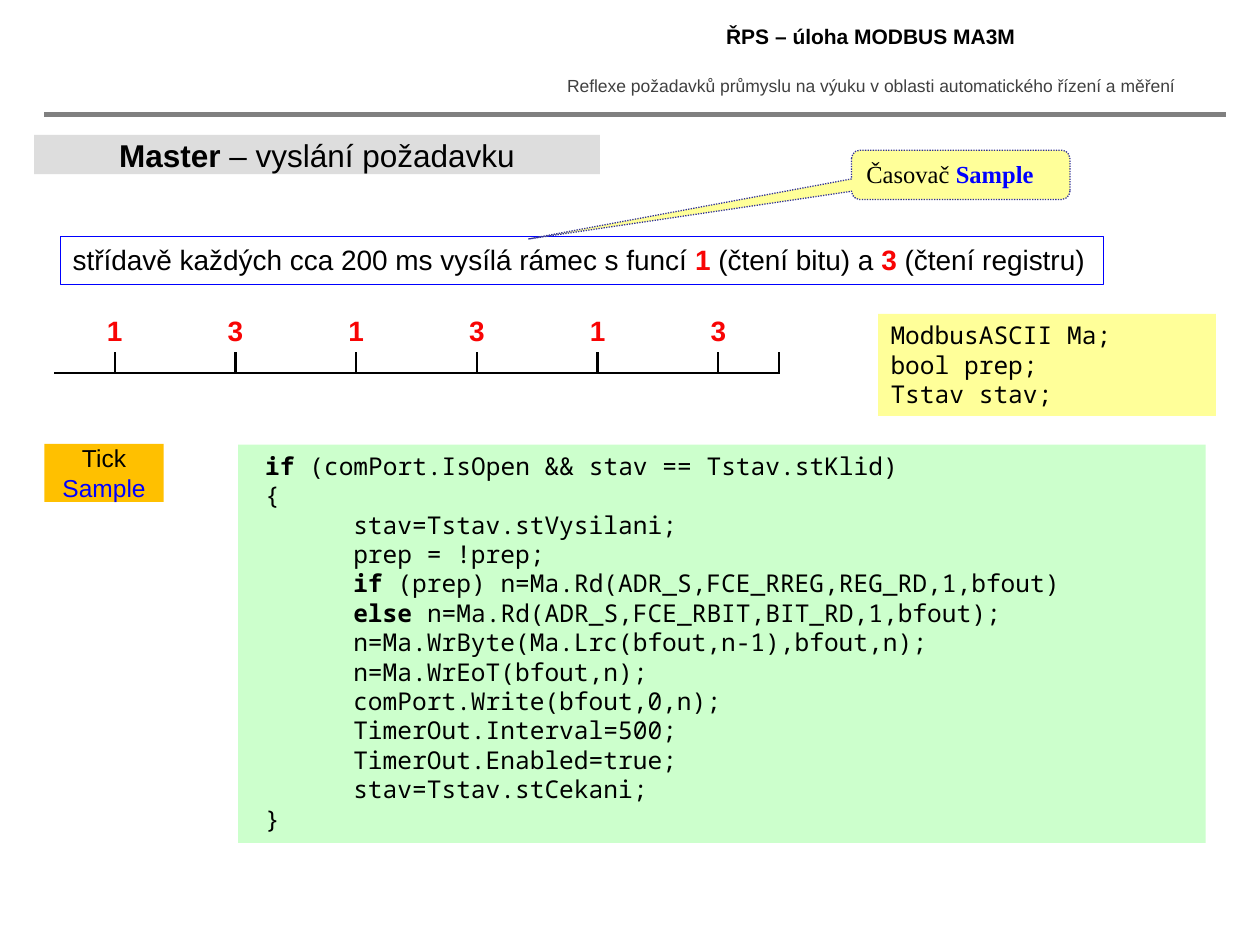
from lxml import etree
from pptx import Presentation
from pptx.dml.color import RGBColor
from pptx.enum.dml import MSO_LINE
from pptx.enum.shapes import MSO_CONNECTOR, MSO_SHAPE
from pptx.enum.text import MSO_ANCHOR, PP_ALIGN
from pptx.oxml.ns import qn
from pptx.util import Pt

BLACK = RGBColor(0x00, 0x00, 0x00)
DARK_GRAY = RGBColor(0x40, 0x40, 0x40)
RULE_GRAY = RGBColor(0x80, 0x80, 0x80)
LIGHT_GRAY = RGBColor(0xDD, 0xDD, 0xDD)
BLUE = RGBColor(0x00, 0x00, 0xFF)
INDIGO = RGBColor(0x33, 0x33, 0x99)
RED = RGBColor(0xF8, 0x04, 0x04)
YELLOW = RGBColor(0xFF, 0xFF, 0x99)
GREEN = RGBColor(0xCC, 0xFF, 0xCC)
ORANGE = RGBColor(0xFF, 0xC0, 0x00)

MONO = "Noto Sans Mono"
MONO_CHAR = 8.4
NO_STYLE = "{2D5ABB26-0587-4C30-8999-92F81FD0307C}"

DECLARATIONS = ["ModbusASCII Ma;", "bool prep;", "Tstav stav;"]
CODE = [
    (1, "if ", "(comPort.IsOpen && stav == Tstav.stKlid)"),
    (1, "", "{"),
    (7, "", "stav=Tstav.stVysilani;"),
    (7, "", "prep = !prep;"),
    (7, "if ", "(prep) n=Ma.Rd(ADR_S,FCE_RREG,REG_RD,1,bfout)"),
    (7, "else ", "n=Ma.Rd(ADR_S,FCE_RBIT,BIT_RD,1,bfout);"),
    (7, "", "n=Ma.WrByte(Ma.Lrc(bfout,n-1),bfout,n);"),
    (7, "", "n=Ma.WrEoT(bfout,n);"),
    (7, "", "comPort.Write(bfout,0,n);"),
    (7, "", "TimerOut.Interval=500;"),
    (7, "", "TimerOut.Enabled=true;"),
    (7, "", "stav=Tstav.stCekani;"),
    (1, "", "}"),
]


def write(frame, lines, size, font="Arial", align=PP_ALIGN.LEFT,
          anchor=MSO_ANCHOR.TOP, wrap=True):
    """Fill a text frame with lines of (text, colour, bold) spans."""
    frame.word_wrap = wrap
    frame.vertical_anchor = anchor
    for number, line in enumerate(lines):
        para = frame.add_paragraph() if number else frame.paragraphs[0]
        para.alignment = align
        for text, color, bold in line:
            span = para.add_run()
            span.text = text
            span.font.name = font
            span.font.size = Pt(size)
            span.font.bold = bold
            span.font.color.rgb = color


def add_panel(page, box, fill=None, line=None, kind=MSO_SHAPE.RECTANGLE):
    """Add a flat shape with an optional fill and outline."""
    panel = page.shapes.add_shape(kind, *map(Pt, box))
    panel.shadow.inherit = False
    if fill is None:
        panel.fill.background()
    else:
        panel.fill.solid()
        panel.fill.fore_color.rgb = fill
    if line is None:
        panel.line.fill.background()
    else:
        panel.line.color.rgb = line
        panel.line.width = Pt(0.75)
    return panel


def add_header(page, box):
    """Place the course title, the project name and the rule below."""
    left, top, width, height = box
    rows = [
        (10, 22.3, "ŘPS – úloha MODBUS MA3M", 12, BLACK, True),
        (39.6, 19.4, "Reflexe požadavků průmyslu na výuku v oblasti "
         "automatického řízení a měření", 10, DARK_GRAY, False),
    ]
    for offset, tall, text, size, color, bold in rows:
        label = page.shapes.add_textbox(
            Pt(left + 284.4), Pt(top + offset), Pt(376), Pt(tall))
        write(label.text_frame, [[(text, color, bold)]], size,
              align=PP_ALIGN.CENTER)
    bottom = Pt(top + height)
    rule = page.shapes.add_connector(
        MSO_CONNECTOR.STRAIGHT, Pt(left), bottom, Pt(left + width), bottom)
    rule.line.color.rgb = RULE_GRAY
    rule.line.width = Pt(3)
    etree.SubElement(rule._element.spPr, qn("a:effectLst"))


def add_heading(page, box):
    """Place the gray heading bar."""
    bar = add_panel(page, box, LIGHT_GRAY)
    write(bar.text_frame,
          [[("Master", BLACK, True), (" – vyslání požadavku", BLACK, False)]],
          18, align=PP_ALIGN.CENTER, anchor=MSO_ANCHOR.MIDDLE, wrap=False)


def add_summary(page, box):
    """Place the outlined sentence on alternating frames."""
    panel = add_panel(page, box, line=BLUE)
    write(panel.text_frame, [[
        ("střídavě každých cca 200 ms vysílá rámec s funcí ", BLACK, False),
        ("1", RED, True),
        (" (čtení bitu) a ", BLACK, False),
        ("3", RED, True),
        (" (čtení registru)", BLACK, False),
    ]], 16, wrap=False)


def add_border(cell, side, width):
    """Draw one black border of a table cell."""
    properties = cell._tc.get_or_add_tcPr()
    border = etree.Element(qn(f"a:{side}"), w=str(Pt(width)))
    fill = etree.SubElement(border, qn("a:solidFill"))
    etree.SubElement(fill, qn("a:srgbClr"), val=str(BLACK))
    position = len(properties.findall("*")) - 1
    properties.insert(position, border)


def add_timeline(page, box):
    """Place the time axis as a table whose borders form the ticks."""
    count = 12
    table = page.shapes.add_table(2, count, *map(Pt, box)).table
    table.first_row = table.horz_banding = False
    table._tbl.tblPr.find(qn("a:tableStyleId")).text = NO_STYLE
    for column in table.columns:
        column.width = Pt(box[2] / count)
    for row, height in zip(table.rows, (22, 11.8)):
        row.height = Pt(height)
    for cell in table.iter_cells():
        cell.fill.background()
        cell.margin_left = cell.margin_right = Pt(2.9)
        cell.margin_top = cell.margin_bottom = Pt(1.4)
    for index in range(count):
        cell = table.cell(1, index)
        cell.text_frame.paragraphs[0]._p.get_or_add_endParaRPr().set("sz", "500")
        if index % 2:
            add_border(cell, "lnL", 1.5)
        if index < count - 1 and (index == 0 or index % 2):
            add_border(cell, "lnR", 1.5)
        add_border(cell, "lnB", 1)
    for index in range(0, count, 2):
        cell = table.cell(0, index)
        cell.merge(table.cell(0, index + 1))
        digit = "3" if index % 4 else "1"
        write(cell.text_frame, [[(digit, RED, True)]], 16,
              align=PP_ALIGN.CENTER)
    for index in range(1, count - 1, 2):
        table.cell(1, index).merge(table.cell(1, index + 1))


def add_declarations(page, box):
    """Place the yellow panel of variable declarations."""
    panel = add_panel(page, box, YELLOW)
    write(panel.text_frame, [[(text, BLACK, False)] for text in DECLARATIONS],
          14, MONO)


def add_code(page, box):
    """Place the green code panel, indented by whole characters."""
    panel = add_panel(page, box, GREEN)
    lines = [[(text, BLACK, bold)
              for text, bold in ((keyword, True), (rest, False)) if text]
             for _, keyword, rest in CODE]
    write(panel.text_frame, lines, 14, MONO)
    for para, (depth, _, _) in zip(panel.text_frame.paragraphs, CODE):
        properties = para._p.get_or_add_pPr()
        properties.set("marL", str(Pt(depth * MONO_CHAR)))
        properties.set("indent", "0")


def add_timer_callout(page, box):
    """Place the callout that points at the summary."""
    callout = add_panel(page, box, YELLOW, INDIGO,
                        MSO_SHAPE.ROUNDED_RECTANGULAR_CALLOUT)
    callout.line.dash_style = MSO_LINE.ROUND_DOT
    for index, value in enumerate((-1.98, 1.3, 0.17)):
        callout.adjustments[index] = value
    write(callout.text_frame,
          [[("Časovač ", BLACK, False), ("Sample", BLUE, True)]],
          14, "Times New Roman")


def add_tick_label(page, box):
    """Place the orange label of the event handler."""
    label = add_panel(page, box, ORANGE)
    write(label.text_frame, [[("Tick", BLACK, False)], [("Sample", BLUE, False)]],
          14, align=PP_ALIGN.CENTER, anchor=MSO_ANCHOR.MIDDLE, wrap=False)


def main():
    """Build the slide and save the deck."""
    deck = Presentation()
    deck.slide_width, deck.slide_height = Pt(720), Pt(540)
    page = deck.slides.add_slide(deck.slide_layouts[6])
    add_header(page, (25.2, 0, 675.4, 65.6))
    add_heading(page, (19.6, 77.1, 323.2, 22.5))
    add_summary(page, (34.5, 135.3, 596, 27.2))
    add_timeline(page, (31, 179.4, 414, 33.8))
    add_declarations(page, (501.8, 179.4, 193, 58.2))
    add_code(page, (136, 254, 553, 227.6))
    add_timer_callout(page, (486.6, 85.8, 124.8, 28.2))
    add_tick_label(page, (25.4, 253.7, 68.2, 33.1))
    deck.save("out.pptx")


if __name__ == "__main__":
    main()
